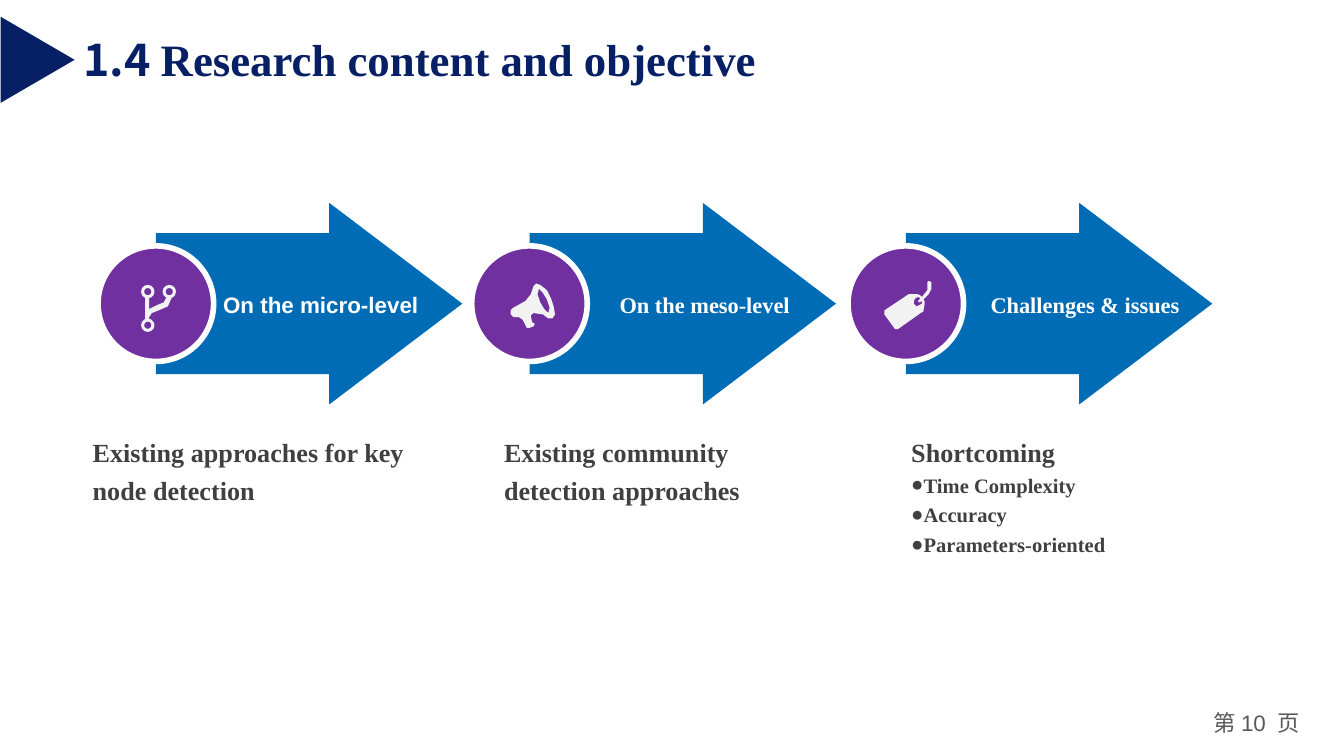
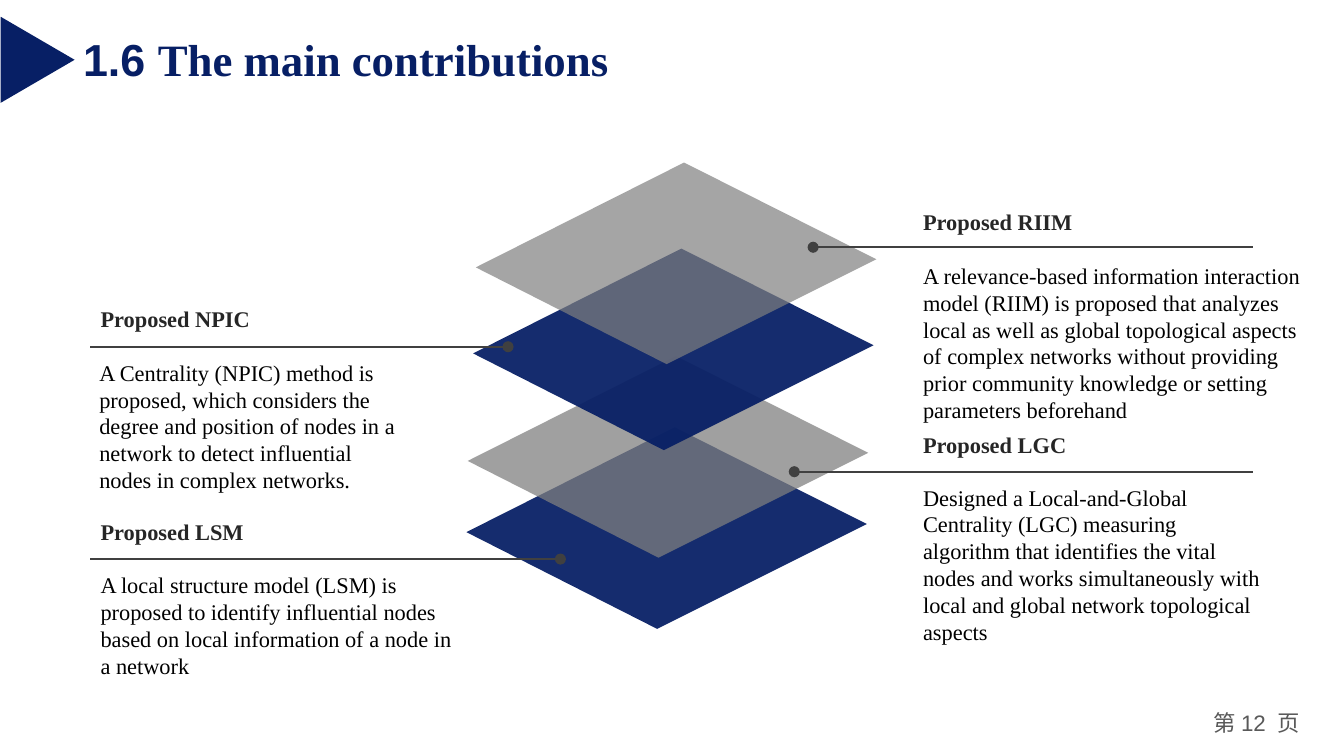
import pptx
import pptx.dml.color
import pptx.enum.dml
import pptx.enum.shapes
import pptx.enum.text
import pptx.oxml
import pptx.oxml.ns
import pptx.util
from pptx.util import Inches

SHAPES = pptx.enum.shapes.MSO_SHAPE
ALIGN = pptx.enum.text.PP_ALIGN

NAVY, BLUE, PURPLE = "071F65", "006CB5", "7030A0"
GRAY, CHARCOAL, INK, PALE = "7F7F7F", "404040", "262626", "F2F2F2"
WHITE, BLACK, FOOTER = "FFFFFF", "000000", "595959"
SERIF, SANS, CJK = "Times New Roman", "Arial", "Noto Sans CJK SC"
NARROW_INSETS = (0.07, 0.04, 0.07, 0.04)


def color(value):
    return pptx.dml.color.RGBColor.from_string(value)


def add_xml(parent, tag, **attributes):
    element = parent.makeelement(pptx.oxml.ns.qn(tag), attributes)
    parent.append(element)
    return element


class Deck:
    def __init__(self):
        self.presentation = pptx.Presentation()
        self.presentation.slide_width = Inches(10)
        self.presentation.slide_height = Inches(10) * 9 // 16
        self.slide = None

    def new_slide(self, number, title, number_font, title_width, page):
        self.slide = self.presentation.slides.add_slide(self.presentation.slide_layouts[6])
        self.text((8.9, 5.24, 0.9, 0.3),
                  [[("第 ", CJK), (page + " ", SANS), (" 页", CJK)]],
                  12, FOOTER, align=ALIGN.CENTER, insets=NARROW_INSETS)
        self.text((0.52, 0.19, title_width, 0.5), [[(number + " ", number_font), (title, SERIF)]],
                  24, NAVY, bold=True, wrap=False)
        self.shape(SHAPES.ISOSCELES_TRIANGLE, (-0.04, 0.17, 0.64, 0.55), NAVY).rotation = 90

    def text(self, box, paragraphs, size, ink, bold=False, align=None, spacing=None,
             insets=(0.1, 0.05, 0.1, 0.05), wrap=True, middle=False):
        frame = self.slide.shapes.add_textbox(*map(Inches, box)).text_frame
        frame.word_wrap = wrap
        frame.margin_left, frame.margin_top, frame.margin_right, frame.margin_bottom = map(Inches, insets)
        if middle:
            frame.vertical_anchor = pptx.enum.text.MSO_ANCHOR.MIDDLE
        for index, runs in enumerate(paragraphs):
            paragraph = frame.paragraphs[0] if index == 0 else frame.add_paragraph()
            paragraph.alignment = align
            paragraph.line_spacing = spacing
            for words, font in runs:
                self.run(paragraph, words, font, size, ink, bold)
        return frame

    def run(self, paragraph, words, font, size, ink, bold):
        run = paragraph.add_run()
        run.text = words
        run.font.name = font
        run.font.size = pptx.util.Pt(size)
        run.font.bold = bold
        run.font.color.rgb = color(ink)
        if font == CJK:
            add_xml(run.font._element, "a:ea", typeface=font)

    def bullets(self, frame, items, size, ink):
        for item in items:
            paragraph = frame.add_paragraph()
            properties = paragraph._p.get_or_add_pPr()
            add_xml(properties, "a:buFont", typeface=SANS)
            add_xml(properties, "a:buChar", char="●")
            paragraph.alignment = ALIGN.JUSTIFY
            paragraph.line_spacing = 1.2
            self.run(paragraph, item, SERIF, size, ink, True)

    def paint(self, shape, fill, opacity=None, outline=None):
        shape.shadow.inherit = False
        shape.fill.solid()
        shape.fill.fore_color.rgb = color(fill)
        if opacity:
            solid = shape._element.spPr.find(pptx.oxml.ns.qn("a:solidFill"))
            add_xml(solid[0], "a:alpha", val=str(opacity * 1000))
        if outline:
            shape.line.color.rgb = color(outline)
            shape.line.width = pptx.util.Pt(3)
        else:
            shape.line.fill.background()
        return shape

    def shape(self, kind, box, fill, outline=None, adjustments=()):
        shape = self.slide.shapes.add_shape(kind, *map(Inches, box))
        for index, value in enumerate(adjustments):
            shape.adjustments[index] = value
        return self.paint(shape, fill, outline=outline)

    def outline(self, contours, fill, opacity=None):
        first = contours[0][0]
        builder = self.slide.shapes.build_freeform(Inches(first[0]), Inches(first[1]))
        for index, points in enumerate(contours):
            corners = [(Inches(x), Inches(y)) for x, y in points]
            if index:
                builder.move_to(*corners[0])
            builder.add_line_segments(corners[1:], close=True)
        return self.paint(builder.convert_to_shape(), fill, opacity)

    def pointer(self, start, end, y):
        connector = self.slide.shapes.add_connector(
            pptx.enum.shapes.MSO_CONNECTOR.STRAIGHT,
            Inches(start), Inches(y), Inches(end), Inches(y))
        connector.line.color.rgb = color(CHARCOAL)
        connector.line.width = pptx.util.Pt(1)
        properties = connector._element.spPr
        add_xml(properties.find(pptx.oxml.ns.qn("a:ln")), "a:headEnd", type="oval")
        add_xml(properties, "a:effectLst")


def branch_icon(deck):
    for x, y in [(1.05, 2.12), (1.21, 2.12), (1.05, 2.37)]:
        deck.shape(SHAPES.DONUT, (x, y, 0.1, 0.1), PALE, adjustments=[0.23])
    deck.shape(SHAPES.RECTANGLE, (1.08, 2.21, 0.03, 0.17), PALE)
    deck.outline([[(1.24, 2.21), (1.22, 2.25), (1.17, 2.27), (1.11, 2.3),
                   (1.11, 2.36), (1.13, 2.33), (1.18, 2.31), (1.25, 2.28), (1.28, 2.21)]], PALE)


def megaphone_icon(deck):
    body = [(4.1, 2.22), (4.07, 2.16), (4.02, 2.12), (3.99, 2.11), (3.97, 2.13), (3.95, 2.19),
            (3.91, 2.24), (3.82, 2.29), (3.8, 2.31), (3.8, 2.34), (3.82, 2.36), (3.86, 2.36),
            (3.89, 2.38), (3.91, 2.42), (3.92, 2.44), (3.94, 2.44), (3.97, 2.43), (3.98, 2.41),
            (3.96, 2.4), (3.95, 2.35), (3.97, 2.33), (4.04, 2.34), (4.08, 2.37), (4.11, 2.37),
            (4.13, 2.34), (4.12, 2.28)]
    opening = [(4.08, 2.33), (4.05, 2.3), (4.02, 2.25), (4, 2.19), (4.01, 2.15),
               (4.04, 2.18), (4.07, 2.23), (4.09, 2.29)]
    deck.outline([body, opening], PALE)


def tag_icon(deck):
    body = [(6.93, 2.1), (6.91, 2.09), (6.9, 2.1), (6.9, 2.16), (6.86, 2.21), (6.85, 2.2),
            (6.83, 2.19), (6.78, 2.19), (6.76, 2.19), (6.58, 2.31), (6.58, 2.34), (6.66, 2.45),
            (6.68, 2.45), (6.85, 2.33), (6.87, 2.32), (6.88, 2.26), (6.88, 2.24), (6.87, 2.23),
            (6.91, 2.19), (6.93, 2.15)]
    hole = [(6.84, 2.27), (6.82, 2.28), (6.8, 2.26), (6.8, 2.24), (6.81, 2.22), (6.83, 2.21),
            (6.85, 2.22), (6.83, 2.24), (6.84, 2.25), (6.86, 2.24), (6.86, 2.26)]
    deck.outline([body, hole], PALE)


def research_slide(deck):
    deck.new_slide("1.4", "Research content and objective", CJK, 5.28, "10")
    levels = [
        (1.16, branch_icon, "On the micro-level", SANS, (1.62, 2.11, 1.54, 0.31),
         "Existing approaches for key node detection", (0.62, 3.16, 2.67, 0.64)),
        (3.94, megaphone_icon, "On the meso-level", SERIF, (4.57, 2.11, 1.46, 0.31),
         "Existing community detection approaches", (3.68, 3.16, 2.35, 0.62)),
        (6.74, tag_icon, "Challenges & issues", SERIF, (7.33, 2.11, 1.51, 0.31),
         "Shortcoming", (6.71, 3.16, 2.31, 1.47)),
    ]
    for left, icon, label, font, label_box, summary, summary_box in levels:
        deck.shape(SHAPES.RIGHT_ARROW, (left, 1.51, 2.28, 1.5), BLUE, adjustments=[0.7, 0.66])
        deck.shape(SHAPES.OVAL, (left - 0.43, 1.83, 0.86, 0.86), PURPLE, outline=WHITE)
        icon(deck)
        deck.text(label_box, [[(label, font)]], 12, WHITE, bold=True,
                  insets=(0.04, 0, 0, 0), middle=True)
        summary_frame = deck.text(summary_box, [[(summary, SERIF)]], 14, CHARCOAL,
                                  bold=True, spacing=1.2, insets=NARROW_INSETS)
    deck.bullets(summary_frame, ["Time Complexity", "Accuracy", "Parameters-oriented"], 11, CHARCOAL)


def contributions_slide(deck):
    deck.new_slide("1.6", "The main contributions", SANS, 4.23, "12")
    tile = [(0.06, -0.75), (1.49, -0.03), (-0.07, 0.75), (-1.49, 0.03)]
    layers = [(4.96, 3.93, NAVY, 94), (4.97, 3.4, GRAY, 74),
              (5.01, 2.6, NAVY, 94), (5.03, 1.96, GRAY, 70)]
    for x, y, fill, opacity in layers:
        deck.outline([[(x + dx, y + dy) for dx, dy in tile]], fill, opacity)

    contributions = [
        ("RIIM", (6.77, 1.5, 2.73, 0.3), (6.05, 9.32, 1.84), (6.77, 1.9, 3.1, 1.31),
         ["A relevance-based information interaction model (RIIM) is proposed that analyzes local "
          "as well as global topological aspects of complex networks without providing prior "
          "community knowledge or setting parameters beforehand"]),
        ("LGC", (6.77, 3.16, 3.1, 0.3), (5.91, 9.32, 3.51), (6.77, 3.55, 2.73, 1.31),
         ["Designed a Local-and-Global Centrality (LGC) measuring algorithm that identifies the "
          "vital nodes and works simultaneously with local and global network topological aspects"]),
        ("NPIC", (0.65, 2.22, 3.01, 0.3), (3.78, 0.67, 2.58), (0.64, 2.62, 2.52, 1.31),
         ["A Centrality (NPIC) method is proposed, which considers the degree and position of "
          "nodes in a network to detect influential",
          "nodes in complex networks."]),
        ("LSM", (0.65, 3.81, 3.86, 0.3), (4.17, 0.67, 4.16), (0.65, 4.2, 2.87, 0.91),
         ["A local structure model (LSM) is proposed to identify influential nodes based on local "
          "information of a node in a network"]),
    ]
    for model, heading_box, rule, description_box, description in contributions:
        deck.pointer(*rule)
        deck.text(description_box, [[(words, SERIF)] for words in description], 12, BLACK)
        deck.text(heading_box, [[("Proposed " + model, SERIF)]], 12, INK, bold=True)


def main():
    deck = Deck()
    research_slide(deck)
    contributions_slide(deck)
    deck.presentation.save("out.pptx")


if __name__ == "__main__":
    main()
